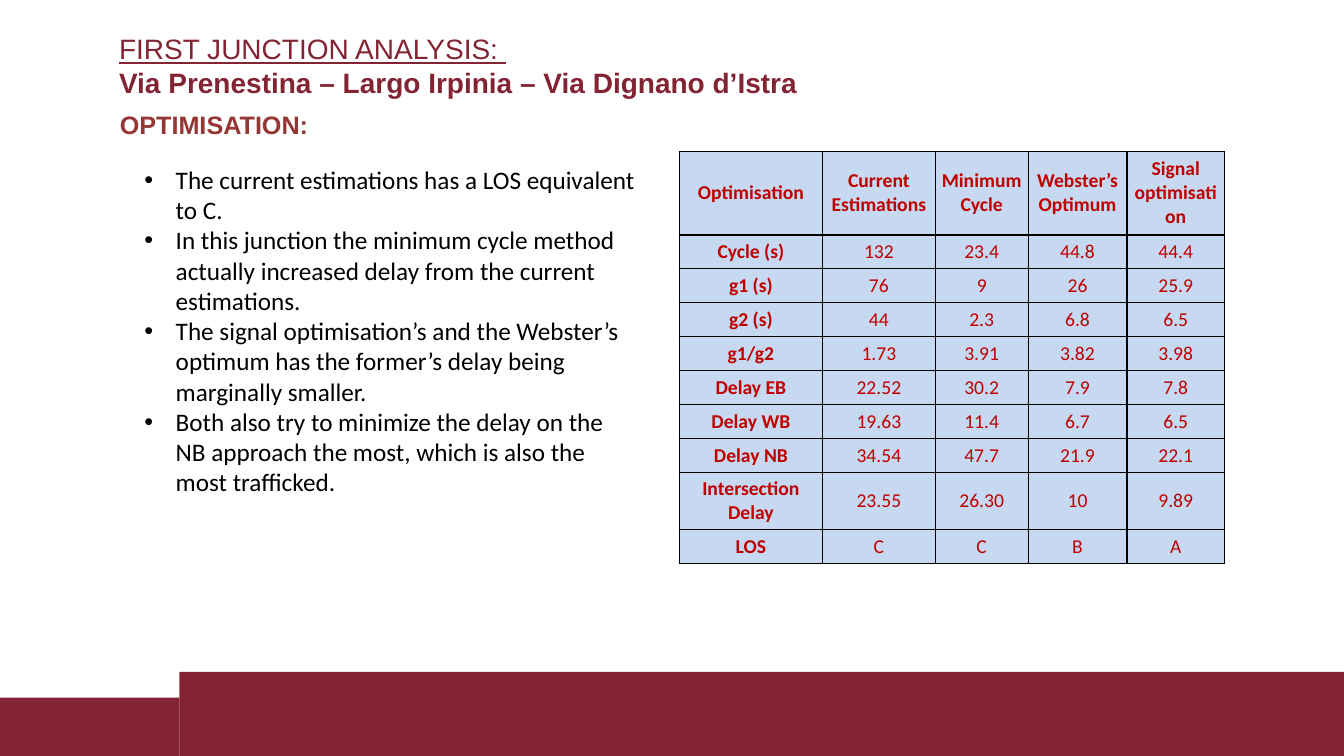
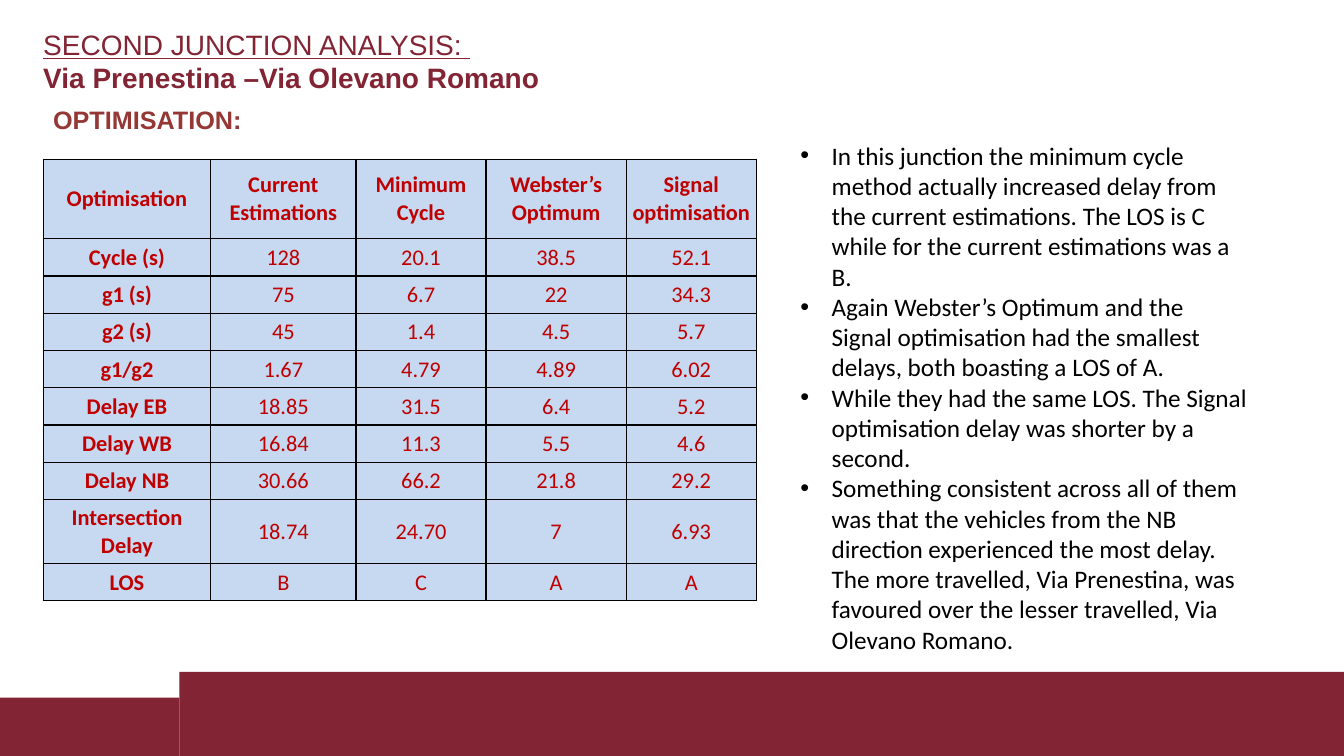
"""Build two slides on signal optimisation at road junctions."""
import dataclasses
import typing

import pptx
import pptx.dml.color
import pptx.enum.shapes
import pptx.enum.text
import pptx.oxml
import pptx.oxml.ns
import pptx.util

Cm = pptx.util.Cm


class Box(typing.NamedTuple):
    """Hold a region of the page in centimetres."""

    left: float
    top: float
    width: float
    height: float

    def lengths(self):
        """Return the four values as slide lengths."""
        return [Cm(value) for value in self]


@dataclasses.dataclass(frozen=True)
class Theme:
    """Keep the colours, typefaces and type sizes of the deck."""

    maroon: str = "822433"
    brick: str = "953735"
    red: str = "C00000"
    black: str = "000000"
    pale_blue: str = "C6D9F1"
    heading_font: str = "Arial"
    body_font: str = "Calibri"
    title_size: int = 20
    body_size: int = 18


THEME = Theme()
PAGE = Box(0, 0, 33.87, 19.05)
BANDS = (Box(0, 17.58, 4.52, 1.47), Box(4.52, 16.93, 29.35, 2.12))
FRAME_MARGINS = ("margin_left", "margin_top", "margin_right", "margin_bottom")
ROW_LABELS = ("Cycle (s)", "g1 (s)", "g2 (s)", "g1/g2", "Delay EB", "Delay WB",
              "Delay NB", "Intersection Delay", "LOS")
HEADINGS = ("Optimisation", "Current Estimations", "Minimum Cycle",
            "Webster’s Optimum", "Signal optimisation")
TITLE = dict(name=THEME.heading_font, size=pptx.util.Pt(THEME.title_size))
SUBTITLE = dict(name=THEME.heading_font, size=pptx.util.Pt(THEME.body_size), bold=True)
BODY = dict(name=THEME.body_font, size=pptx.util.Pt(THEME.body_size))


def set_values(target, values):
    """Set each named attribute of the target."""
    for name, value in values.items():
        setattr(target, name, value)


def rgb(value):
    """Turn a hexadecimal string into a colour."""
    return pptx.dml.color.RGBColor.from_string(value)


def add_span(para, text, colour, values):
    """Add a formatted run to a paragraph."""
    span = para.add_run()
    span.text = text
    set_values(span.font, values)
    span.font.color.rgb = rgb(colour)


def add_frame(page, box, margins=(0, 0, 0, 0)):
    """Add a wrapping text box and return its text frame."""
    frame = page.shapes.add_textbox(*box.lengths()).text_frame
    frame.word_wrap = True
    set_values(frame, dict(zip(FRAME_MARGINS, map(Cm, margins))))
    return frame


def add_bands(page):
    """Draw the stepped footer bands."""
    for box in BANDS:
        band = page.shapes.add_shape(
            pptx.enum.shapes.MSO_SHAPE.RECTANGLE, *box.lengths())
        band.shadow.inherit = False
        band.fill.solid()
        band.fill.fore_color.rgb = rgb(THEME.maroon)
        band.line.fill.background()


def add_title(page, box, junction, streets):
    """Write the underlined junction line above the bold street names."""
    para = add_frame(page, box).paragraphs[0]
    add_span(para, junction, THEME.maroon, dict(TITLE, underline=True))
    para.add_line_break()
    add_span(para, streets, THEME.maroon, dict(TITLE, bold=True))


def add_subtitle(page, box):
    """Write the section label."""
    frame = add_frame(page, box, (0.25, 0.13, 0.25, 0.13))
    add_span(frame.paragraphs[0], "OPTIMISATION:", THEME.brick, SUBTITLE)


def add_bullets(page, box, points):
    """Write the findings as a bulleted list."""
    frame = add_frame(page, box)
    for index, point in enumerate(points):
        para = frame.add_paragraph() if index else frame.paragraphs[0]
        properties = para._p.get_or_add_pPr()
        properties.set("marL", str(Cm(1.43)))
        properties.set("indent", str(Cm(-0.79)))
        for markup in (f'<a:buClr %s><a:srgbClr val="{THEME.black}"/></a:buClr>',
                       f'<a:buFont %s typeface="{THEME.heading_font}"/>',
                       '<a:buChar %s char="•"/>'):
            properties.append(pptx.oxml.parse_xml(
                markup % pptx.oxml.ns.nsdecls("a")))
        add_span(para, point, THEME.black, BODY)


def add_borders(cell):
    """Draw a thin black line on each side of a cell."""
    properties = cell._tc.get_or_add_tcPr()
    for side in ("lnL", "lnR", "lnT", "lnB"):
        properties.append(pptx.oxml.parse_xml(
            f'<a:{side} {pptx.oxml.ns.nsdecls("a")} w="{pptx.util.Pt(1)}">'
            f'<a:solidFill><a:srgbClr val="{THEME.black}"/></a:solidFill>'
            f'</a:{side}>'))


def fill_cell(cell, text, size, bold):
    """Format one table cell and write its text."""
    add_borders(cell)
    cell.fill.solid()
    cell.fill.fore_color.rgb = rgb(THEME.pale_blue)
    set_values(cell, dict.fromkeys(FRAME_MARGINS, Cm(0.13)))
    cell.vertical_anchor = pptx.enum.text.MSO_ANCHOR.MIDDLE
    para = cell.text_frame.paragraphs[0]
    para.alignment = pptx.enum.text.PP_ALIGN.CENTER
    add_span(para, text, THEME.red,
             dict(name=THEME.body_font, size=pptx.util.Pt(size), bold=bold))


def add_results(page, box, values, widths, heights, size):
    """Draw the table that compares the optimisation methods."""
    rows = [HEADINGS] + [(label, *line.split())
                         for label, line in zip(ROW_LABELS, values)]
    table = page.shapes.add_table(
        len(rows), len(HEADINGS), *box.lengths()).table
    set_values(table, dict(first_row=False, horz_banding=False))
    for column, width in zip(table.columns, widths):
        column.width = Cm(width)
    header, single, double = heights
    for row, height in zip(table.rows, [header] + [single] * 7 + [double, single]):
        row.height = Cm(height)
    for row_index, row in enumerate(rows):
        for column_index, text in enumerate(row):
            fill_cell(table.cell(row_index, column_index), text, size,
                      row_index == 0 or column_index == 0)


def add_junction(deck, title, subtitle, bullets, results):
    """Build one junction slide from the contents of its regions."""
    page = deck.slides.add_slide(deck.slide_layouts[6])
    add_bands(page)
    add_title(page, **title)
    add_bullets(page, **bullets)
    add_subtitle(page, subtitle)
    add_results(page, **results)


JUNCTIONS = (
    dict(
        title=dict(box=Box(3, 0.8, 27.9, 1.7),
                   junction="FIRST JUNCTION ANALYSIS: ",
                   streets="Via Prenestina – Largo Irpinia – Via Dignano d’Istra"),
        subtitle=Box(2.77, 2.62, 15.62, 1.02),
        bullets=dict(box=Box(3, 4.14, 13, 9.25), points=(
            "The current estimations has a LOS equivalent to C.",
            "In this junction the minimum cycle method actually increased delay "
            "from the current estimations.",
            "The signal optimisation’s and the Webster’s optimum has the former’s "
            "delay being marginally smaller.",
            "Both also try to minimize the delay on the NB approach the most, "
            "which is also the most trafficked.")),
        results=dict(box=Box(17.12, 3.81, 13.74, 10.28), size=14,
                     widths=(3.61, 2.84, 2.34, 2.49, 2.46),
                     heights=(2.11, 0.84, 1.45), values=(
                         "132 23.4 44.8 44.4",
                         "76 9 26 25.9",
                         "44 2.3 6.8 6.5",
                         "1.73 3.91 3.82 3.98",
                         "22.52 30.2 7.9 7.8",
                         "19.63 11.4 6.7 6.5",
                         "34.54 47.7 21.9 22.1",
                         "23.55 26.30 10 9.89",
                         "C C B A"))),
    dict(
        title=dict(box=Box(1.09, 0.69, 27.9, 1.7),
                   junction="SECOND JUNCTION ANALYSIS: ",
                   streets="Via Prenestina –Via Olevano Romano"),
        subtitle=Box(1.09, 2.49, 15.62, 1.02),
        bullets=dict(box=Box(19.53, 3.53, 11.91, 13.84), points=(
            "In this junction the minimum cycle method actually increased delay "
            "from the current estimations. The LOS is C while for the current "
            "estimations was a B.",
            "Again Webster’s Optimum and the Signal optimisation had the smallest "
            "delays, both boasting a LOS of A.",
            "While they had the same LOS. The Signal optimisation delay was "
            "shorter by a second.",
            "Something consistent across all of them was that the vehicles from "
            "the NB direction experienced the most delay. The more travelled, Via "
            "Prenestina, was favoured over the lesser travelled, Via Olevano "
            "Romano.")),
        results=dict(box=Box(1.09, 4.01, 17.97, 11.04), size=16,
                     widths=(4.22, 3.66, 3.28, 3.53, 3.28),
                     heights=(2.01, 0.93, 1.59), values=(
                         "128 20.1 38.5 52.1",
                         "75 6.7 22 34.3",
                         "45 1.4 4.5 5.7",
                         "1.67 4.79 4.89 6.02",
                         "18.85 31.5 6.4 5.2",
                         "16.84 11.3 5.5 4.6",
                         "30.66 66.2 21.8 29.2",
                         "18.74 24.70 7 6.93",
                         "B C A A"))),
)


def main():
    """Create the deck and save it."""
    deck = pptx.Presentation()
    set_values(deck, dict(slide_width=Cm(PAGE.width), slide_height=Cm(PAGE.height)))
    for junction in JUNCTIONS:
        add_junction(deck, **junction)
    deck.save("out.pptx")


if __name__ == "__main__":
    main()
